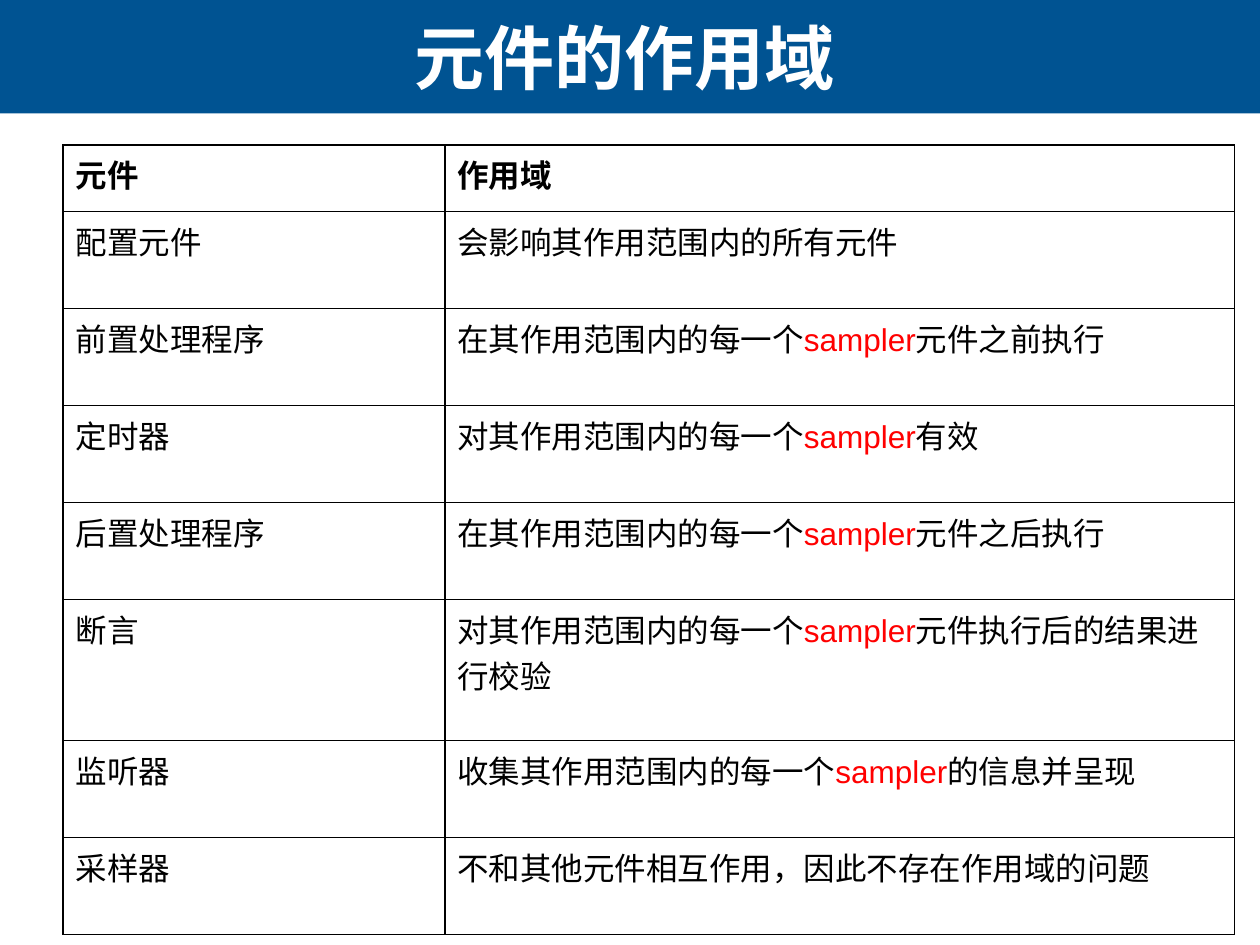
from lxml import etree
from pptx import Presentation
from pptx.dml.color import RGBColor
from pptx.enum.shapes import MSO_SHAPE
from pptx.enum.text import MSO_ANCHOR, PP_ALIGN
from pptx.oxml.ns import qn
from pptx.util import Inches, Pt

RECTANGLE = MSO_SHAPE.RECTANGLE
CENTER = PP_ALIGN.CENTER
MIDDLE = MSO_ANCHOR.MIDDLE
TITLE_ONLY = 5

KEYWORD = "sampler"
HEADER = ("元件", "作用域")
SCOPES = [
    ("配置元件", "会影响其作用范围内的所有元件"),
    ("前置处理程序", "在其作用范围内的每一个sampler元件之前执行"),
    ("定时器", "对其作用范围内的每一个sampler有效"),
    ("后置处理程序", "在其作用范围内的每一个sampler元件之后执行"),
    ("断言", "对其作用范围内的每一个sampler元件执行后的结果进行校验"),
    ("监听器", "收集其作用范围内的每一个sampler的信息并呈现"),
    ("采样器", "不和其他元件相互作用，因此不存在作用域的问题"),
]
COLUMN_WIDTHS = (3.03, 6.27)
HEADER_HEIGHT, ROW_HEIGHT, TALL_HEIGHT = 0.53, 0.77, 1.12
TALL_ROW = "断言"


def color(value):
    return RGBColor.from_string(value)


class SlideBuilder:
    blue, white, black, red = "005392", "FFFFFF", "000000", "FF0000"
    body_font, header_font = "Arial", "Calibri"

    def __init__(self, slide):
        self.slide = slide

    def format_font(self, font, size, name, value, bold=False):
        font.size = Pt(size)
        font.name = name
        font.bold = bold
        font.color.rgb = color(value)

    def title(self, text):
        title = self.slide.shapes.title
        title.left, title.top = Inches(0.02), Inches(0)
        title.width, title.height = Inches(9.87), Inches(0.9)
        frame = title.text_frame
        frame.text = text
        frame.vertical_anchor = MIDDLE
        paragraph = frame.paragraphs[0]
        paragraph.alignment = CENTER
        self.format_font(paragraph.runs[0].font, 40, self.body_font, self.white, True)

    def title_bar(self):
        bar = self.slide.shapes.add_shape(
            RECTANGLE, Inches(0), Inches(0), Inches(10), Inches(0.9))
        bar.shadow.inherit = False
        bar.fill.solid()
        bar.fill.fore_color.rgb = color(self.blue)
        bar.line.fill.background()
        # Keep the bar behind the title
        self.slide.shapes.title._element.addprevious(bar._element)

    def cell_borders(self, cell):
        properties = cell._tc.get_or_add_tcPr()
        for side in ("a:lnL", "a:lnR", "a:lnT", "a:lnB"):
            line = etree.SubElement(properties, qn(side), w=str(Pt(1)))
            fill = etree.SubElement(line, qn("a:solidFill"))
            etree.SubElement(fill, qn("a:srgbClr"), val=self.black)

    def cell(self, cell, text, is_header):
        self.cell_borders(cell)
        cell.fill.background()
        paragraph = cell.text_frame.paragraphs[0]
        name = self.header_font if is_header else self.body_font
        for part in text.partition(KEYWORD):
            if part:
                run = paragraph.add_run()
                run.text = part
                value = self.red if part == KEYWORD else self.black
                self.format_font(run.font, 18, name, value, is_header)

    def table(self, rows, widths, heights, left, top):
        table = self.slide.shapes.add_table(
            len(rows), len(widths), Inches(left), Inches(top),
            Inches(sum(widths)), Inches(sum(heights))).table
        for column, width in zip(table.columns, widths):
            column.width = Inches(width)
        for index, (row, height) in enumerate(zip(table.rows, heights)):
            row.height = Inches(height)
            for cell, text in zip(row.cells, rows[index]):
                self.cell(cell, text, index == 0)


def main():
    presentation = Presentation()
    presentation.slide_width, presentation.slide_height = Inches(10), Inches(7.5)
    layout = presentation.slide_layouts[TITLE_ONLY]
    builder = SlideBuilder(presentation.slides.add_slide(layout))

    # Title band
    builder.title("元件的作用域")
    builder.title_bar()

    # Scope table
    heights = [HEADER_HEIGHT] + [
        TALL_HEIGHT if name == TALL_ROW else ROW_HEIGHT for name, _ in SCOPES]
    builder.table([HEADER] + SCOPES, COLUMN_WIDTHS, heights, 0.5, 1.15)

    presentation.save("out.pptx")


if __name__ == "__main__":
    main()
